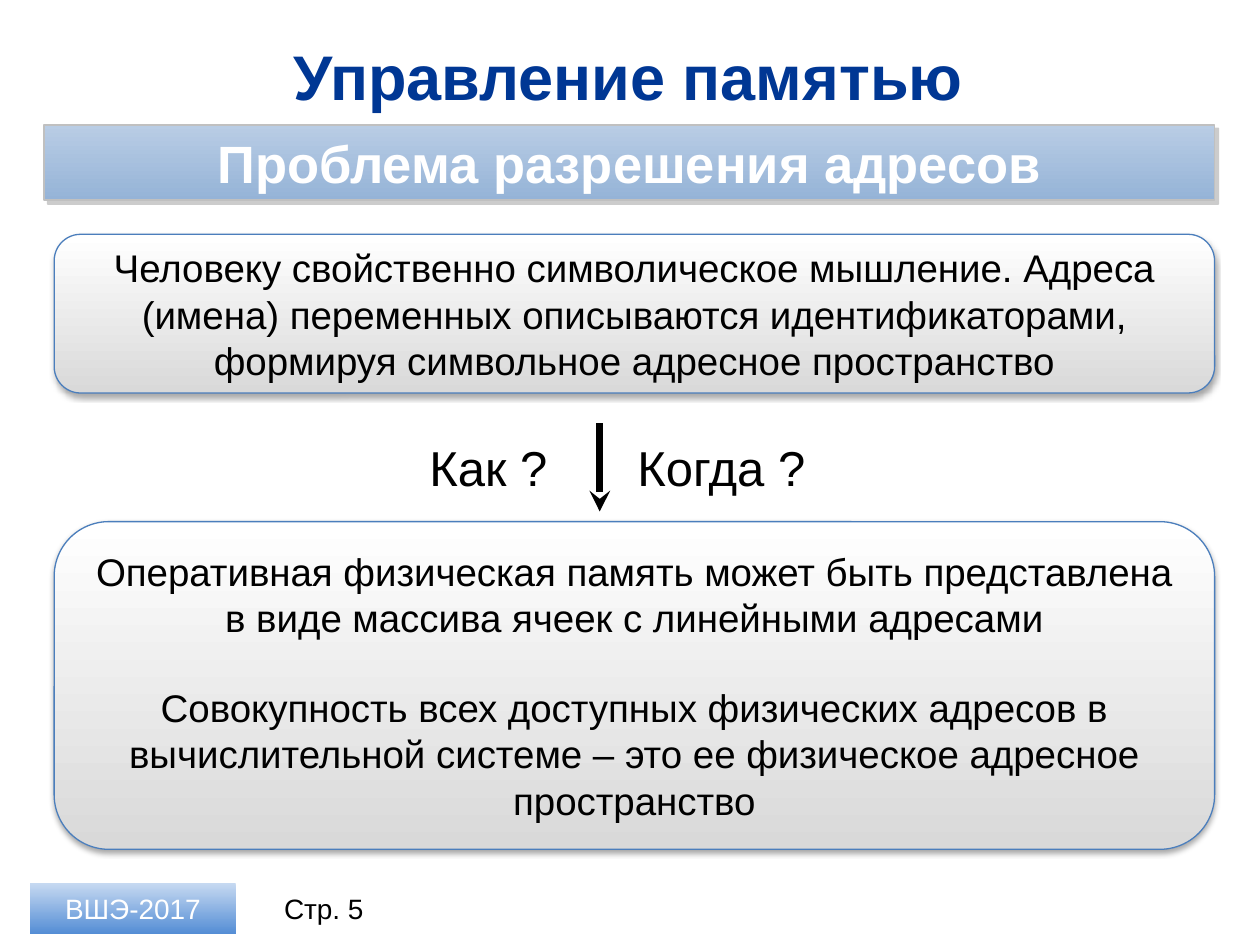
"""Build the slide on memory management and address resolution."""
from lxml.etree import SubElement
from pptx import Presentation
from pptx.dml.color import RGBColor
from pptx.enum.shapes import MSO_CONNECTOR, MSO_SHAPE
from pptx.enum.text import MSO_ANCHOR, MSO_AUTO_SIZE, PP_ALIGN
from pptx.oxml.ns import qn
from pptx.util import Inches, Pt


def color(value):
    """Turn a hex string into a colour."""
    return RGBColor.from_string(value)


def write(shape, text, size, ink, bold=False, align=PP_ALIGN.CENTER, anchor=MSO_ANCHOR.MIDDLE):
    """Put formatted paragraphs into a shape."""
    frame = shape.text_frame
    frame_format = {"word_wrap": True, "auto_size": MSO_AUTO_SIZE.NONE, "vertical_anchor": anchor}
    for name, value in frame_format.items():
        setattr(frame, name, value)
    frame.text = text
    for index, paragraph in enumerate(frame.paragraphs):
        paragraph.alignment = align
        if index:
            paragraph.space_before = Pt(25)
        for name, value in {"name": "Arial", "size": Pt(size), "bold": bold}.items():
            setattr(paragraph.font, name, value)
        paragraph.font.color.rgb = color(ink)


presentation = Presentation()
presentation.slide_width, presentation.slide_height = Inches(10), Inches(7.5)
column, row = presentation.slide_width / 100, presentation.slide_height / 100
slide = presentation.slides.add_slide(presentation.slide_layouts[5])

title = slide.shapes.title
title_place = {"left": 2.4 * column, "top": 3.47 * row, "width": 94.9 * column, "height": 9.07 * row}
for name, value in title_place.items():
    setattr(title, name, int(value))
write(title, "Управление памятью", 36, "003794", bold=True)

card = {"kind": MSO_SHAPE.ROUNDED_RECTANGLE, "gradient": ("FFFFFF", "D9D9D9"), "line": ("4B7EBC", 0.75),
        "shadow": ("000000", 35, 3.1, 1.8, 90), "text": (22, "000000")}
banner = {"kind": MSO_SHAPE.RECTANGLE, "gradient": ("B9CDE5", "95B3D7"), "line": ("C0C0C0", 1),
          "shadow": ("808080", 40, 0, 3, 45), "text": (30, "FFFFFF", True)}
badge = {"kind": MSO_SHAPE.RECTANGLE, "gradient": ("C6D9F1", "558ED5"), "line": None,
         "shadow": None, "text": (16, "FFFFFF")}

panels = [
    (card, 4.3, 55.2, 92.1, 34.67,
     "Оперативная физическая память может быть представлена в виде массива ячеек с линейными адресами\n"
     "Совокупность всех доступных физических адресов в вычислительной системе – "
     "это ее физическое адресное пространство"),
    (card, 4.3, 24.8, 92.1, 16.8,
     "Человеку свойственно символическое мышление. Адреса (имена) переменных описываются "
     "идентификаторами, формируя символьное адресное пространство"),
    (badge, 2.4, 93.47, 16.3, 5.33, "ВШЭ-2017"),
    (banner, 3.5, 13.2, 92.9, 8, "Проблема разрешения адресов"),
]
for style, left, top, width, height, text in panels:
    shape = slide.shapes.add_shape(style["kind"], int(left * column), int(top * row),
                                   int(width * column), int(height * row))
    shape.fill.gradient()
    shape.fill.gradient_angle = 270
    for stop, value in zip(shape.fill.gradient_stops, style["gradient"]):
        stop.color.rgb = color(value)
    if style["line"]:
        shape.line.color.rgb = color(style["line"][0])
        shape.line.width = Pt(style["line"][1])
    else:
        shape.line.fill.background()
    shape.shadow.inherit = False
    if style["shadow"]:
        shade, opacity, blur, distance, angle = style["shadow"]
        effects = shape._element.spPr.find(qn("a:effectLst"))
        outer = SubElement(effects, qn("a:outerShdw"), blurRad=str(Pt(blur)), dist=str(Pt(distance)),
                           dir=str(angle * 60000), algn="tl", rotWithShape="0")
        shade_element = SubElement(outer, qn("a:srgbClr"), val=shade)
        SubElement(shade_element, qn("a:alpha"), val=str(opacity * 1000))
    write(shape, text, *style["text"])

labels = [
    ("Стр. 5", 20.3, 93.47, 10.8, 5.33, 16, PP_ALIGN.CENTER, MSO_ANCHOR.MIDDLE),
    ("Как ?", 33.1, 45.6, 15.4, 7.6, 28, PP_ALIGN.LEFT, MSO_ANCHOR.TOP),
    ("Когда ?", 49.6, 45.6, 17.7, 7.6, 28, PP_ALIGN.LEFT, MSO_ANCHOR.TOP),
]
for text, left, top, width, height, size, align, anchor in labels:
    label = slide.shapes.add_textbox(int(left * column), int(top * row),
                                     int(width * column), int(height * row))
    write(label, text, size, "000000", align=align, anchor=anchor)

arrow = slide.shapes.add_connector(MSO_CONNECTOR.STRAIGHT, int(47.6 * column), int(44.8 * row),
                                   int(47.6 * column), int(54.13 * row))
arrow.line.color.rgb = color("000000")
arrow.line.width = Pt(4)
SubElement(arrow.line._get_or_add_ln(), qn("a:tailEnd"), type="stealth")
SubElement(arrow._element.spPr, qn("a:effectLst"))

presentation.save("out.pptx")
